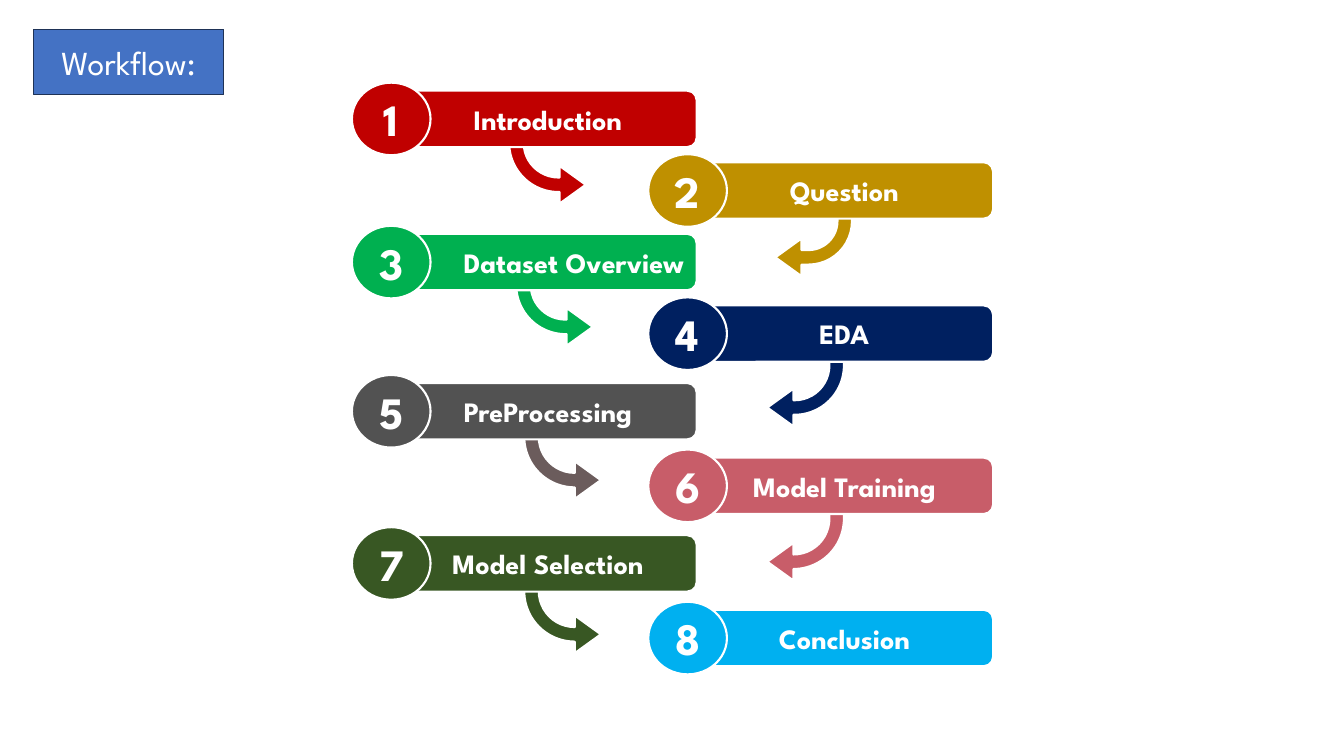
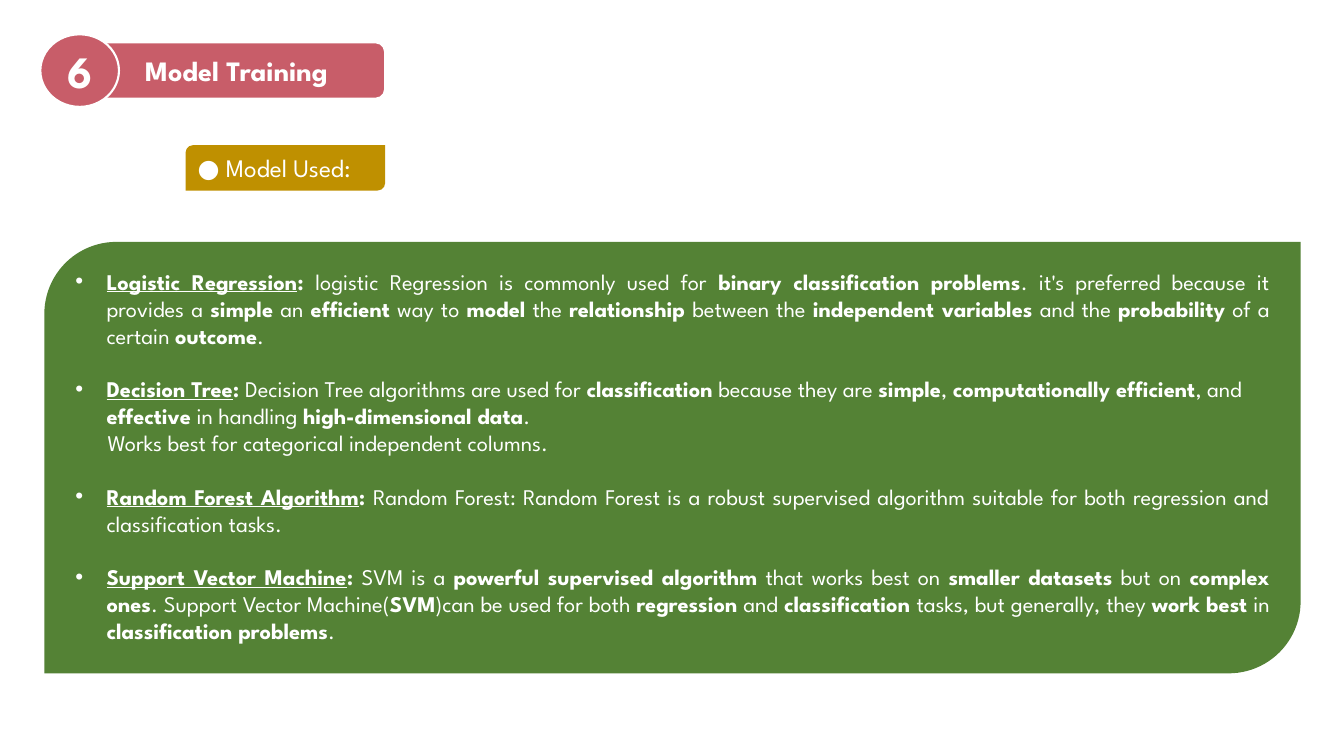
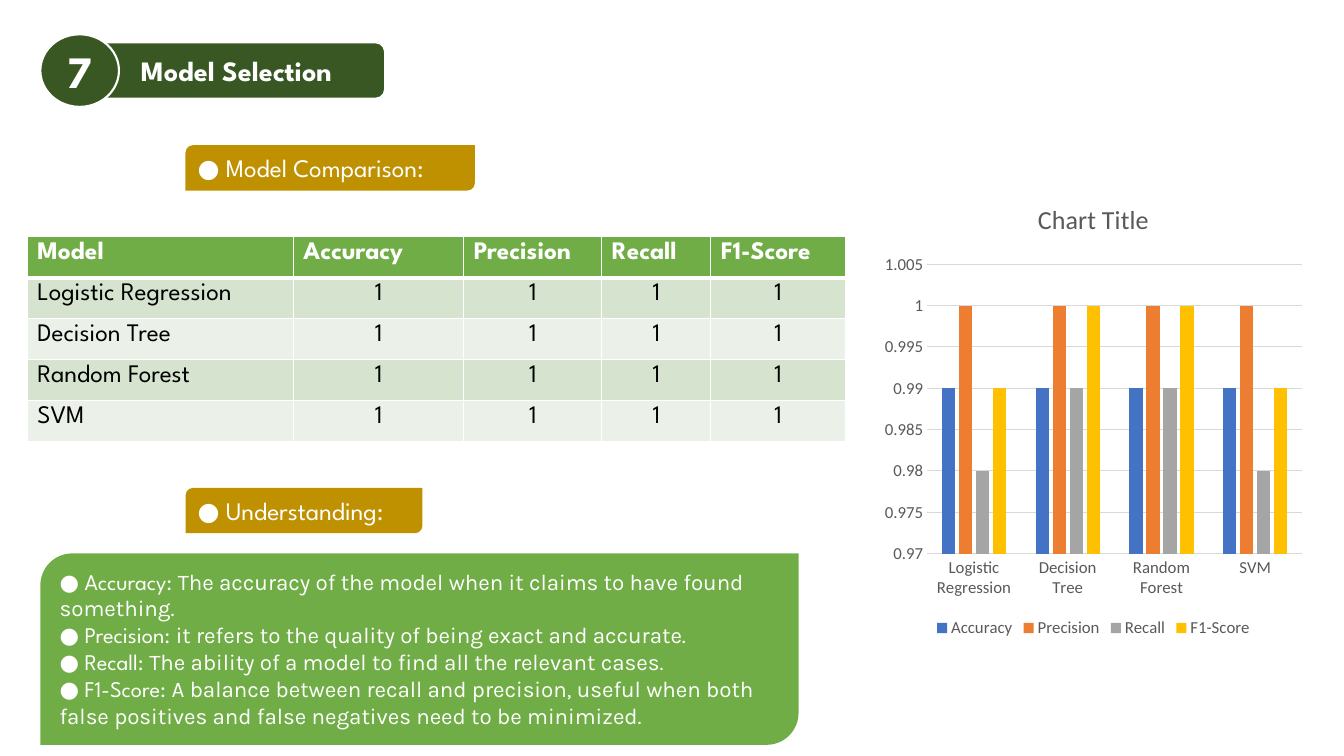
from dataclasses import dataclass
from typing import Any, NamedTuple, Optional

from lxml.etree import SubElement
from pptx import Presentation
from pptx.chart.data import CategoryChartData as Data
from pptx.dml.color import RGBColor as RGB
from pptx.enum.chart import XL_CHART_TYPE as Chart, XL_LEGEND_POSITION as Spot, XL_TICK_MARK as Tick
from pptx.enum.shapes import MSO_SHAPE as Kind
from pptx.enum.text import MSO_ANCHOR as Anchor, PP_ALIGN as Align
from pptx.oxml.ns import qn
from pptx.util import Emu, Pt

SCALE = 9144  # EMU in one px, 100 px to the inch


@dataclass(frozen=True)
class Theme:
    font: str = "League Spartan"
    prose: str = "Karla"
    plain: str = "Calibri"
    white: str = "FFFFFF"
    black: str = "000000"
    blue: str = "4472C4"
    edge: str = "1E3256"
    red: str = "C00000"
    gold: str = "BF9000"
    green: str = "00B050"
    navy: str = "002060"
    gray: str = "525252"
    taupe: str = "6B5C5C"
    rose: str = "C85D69"
    pine: str = "385723"
    sky: str = "00B0F0"
    moss: str = "548235"
    leaf: str = "70AD47"
    bands: tuple[str, str] = ("D5E3CF", "EBF1E9")
    bars: tuple[str, ...] = ("4472C4", "ED7D31", "A5A5A5", "FFC000")
    ink: str = "595959"
    rule: str = "D9D9D9"
    digit: float = 32
    head: float = 24
    name: float = 20
    label: float = 18
    body: float = 16
    title: float = 18.6
    axis: float = 12


T = Theme()


class Box(NamedTuple):
    x: int
    y: int
    w: int
    h: int

    def emu(self) -> list[Emu]:
        return [px(n) for n in self]


class Turn(NamedTuple):
    """A bent arrow leading on to the next step."""
    x: int
    y: int
    bend: float
    fill: str


@dataclass(frozen=True)
class Step:
    name: str
    fill: str
    top: int
    turn: Optional[Turn] = None
    align: Align = Align.CENTER


class Item(NamedTuple):
    """A bulleted model; asterisks in the text switch bold on and off."""
    name: str
    text: str
    align: Align = Align.JUSTIFY
    more: str = ""


STEPS = (
    Step("Introduction", T.red, 90, Turn(505, 130, 0.68, T.red)),
    Step("Question", T.gold, 161, Turn(769, 202, 0.6, T.gold)),
    Step("Dataset Overview", T.green, 232, Turn(512, 271, 0.68, T.green), Align.RIGHT),
    Step("EDA", T.navy, 303, Turn(761, 351, 0.68, T.navy)),
    Step("PreProcessing", T.gray, 380, Turn(520, 423, 0.7, T.taupe)),
    Step("Model Training", T.rose, 454, Turn(761, 504, 0.7, T.rose)),
    Step("Model Selection", T.pine, 531, Turn(520, 576, 0.7, T.pine)),
    Step("Conclusion", T.sky, 605),
)

ITEMS = (
    Item("Logistic Regression",
         "logistic Regression is commonly used for *binary classification problems*. it's preferred "
         "because it provides a *simple* an *efficient* way to *model* the *relationship* between the "
         "*independent variables* and the *probability* of a certain *outcome*."),
    Item("Decision Tree",
         "Decision Tree algorithms are used for *classification* because they are *simple*, "
         "*computationally efficient*, and *effective* in handling *high-dimensional data*.",
         Align.LEFT, "Works best for categorical independent columns."),
    Item("Random Forest Algorithm",
         "Random Forest: Random Forest is a robust supervised algorithm suitable for both regression "
         "and classification tasks."),
    Item("Support Vector Machine",
         "SVM is a *powerful supervised algorithm* that works best on *smaller datasets* but on "
         "*complex ones*. Support Vector Machine(*SVM*)can be used for both *regression* and "
         "*classification *tasks, but generally, they *work best* in *classification problems*."),
)

TERMS = (
    ("Accuracy", "The accuracy of the model when it claims to have found something."),
    ("Precision", "it refers to the quality of being exact and accurate."),
    ("Recall", "The ability of a model to find all the relevant cases."),
    ("F1-Score", "A balance between recall and precision, useful when both false positives and "
                 "false negatives need to be minimized."),
)

MODELS = ("Logistic Regression", "Decision Tree", "Random Forest", "SVM")
SCORES = ((0.99, 0.99, 0.99, 0.99), (1, 1, 1, 1), (0.98, 0.99, 0.99, 0.98), (0.99, 1, 1, 0.99))
COLS = (264, 169, 137, 108, 134)


def px(num: int) -> Emu:
    return Emu(num * SCALE)


def style(font: Any, *, size: float, tint: str = T.white, face: str = T.font,
          bold: bool = False, line: bool = False) -> None:
    font.size, font.name, font.bold = Pt(size), face, bold
    font.color.rgb = RGB.from_string(tint)
    if line:
        font.underline = True


def put(para: Any, text: str, *, align: Optional[Align] = None, **form: Any) -> None:
    """Add a run to the paragraph."""
    run = para.add_run()
    run.text = text
    style(run.font, **form)
    if align is not None:
        para.alignment = align


def paint(fill: Any, tint: str) -> None:
    fill.solid()
    fill.fore_color.rgb = RGB.from_string(tint)


def draw(page: Any, kind: Kind, box: Box, fill: str, edge: str = "", wide: float = 1.5) -> Any:
    item = page.shapes.add_shape(kind, *box.emu())
    item.shadow.inherit = False
    paint(item.fill, fill)
    if edge:
        item.line.color.rgb = RGB.from_string(edge)
        item.line.width = Pt(wide)
    else:
        item.line.fill.background()
    item.text_frame.word_wrap = True
    item.text_frame.vertical_anchor = Anchor.MIDDLE if edge else Anchor.TOP
    return item


def badge(page: Any, num: int, x: int, y: int) -> None:
    """Draw a step's bar with its numbered disc; x and y place the bar."""
    step = STEPS[num - 1]
    bar = draw(page, Kind.ROUNDED_RECTANGLE, Box(x, y, 295, 56), step.fill, T.white)
    put(bar.text_frame.paragraphs[0], step.name, size=T.name, bold=True, align=step.align)
    disc = draw(page, Kind.OVAL, Box(x - 47, y - 8, 78, 72), step.fill, T.white)
    put(disc.text_frame.paragraphs[0], str(num), size=T.digit, bold=True, align=Align.CENTER)


def label(page: Any, text: str, y: int, wide: int) -> None:
    tag = draw(page, Kind.ROUND_2_DIAG_RECTANGLE, Box(184, y, wide, 45), T.gold)
    put(tag.text_frame.paragraphs[0], f"● {text}:", size=T.label, align=Align.LEFT)


def arrow(page: Any, turn: Turn, flip: bool) -> None:
    item = draw(page, Kind.BENT_ARROW, Box(turn.x, turn.y, 76, 72), turn.fill, T.white)
    for spot, value in enumerate((0.2, 0.26, 0.36, turn.bend)):
        item.adjustments[spot] = value
    item.rotation = 180
    if flip:
        item.element.spPr.find(qn("a:xfrm")).set("flipH", "1")


def indent(para: Any, left: int, first: int = 0, mark: str = "") -> None:
    props = para._p.get_or_add_pPr()
    props.set("marL", str(px(left)))
    props.set("indent", str(px(first)))
    if mark:
        SubElement(props, qn("a:buFont")).set("typeface", "Arial")
        SubElement(props, qn("a:buChar")).set("char", mark)


def nth(frame: Any, spot: int) -> Any:
    return frame.add_paragraph() if spot else frame.paragraphs[0]


def flow(page: Any) -> None:
    head = draw(page, Kind.RECTANGLE, Box(33, 29, 189, 65), T.blue, T.edge, 1)
    put(head.text_frame.paragraphs[0], "Workflow:", size=T.head, align=Align.CENTER)
    for spot, step in enumerate(STEPS):
        if step.turn:
            arrow(page, step.turn, flip=spot % 2 == 0)
    for spot, step in enumerate(STEPS):
        badge(page, spot + 1, 690 if spot % 2 else 396, step.top)


def train(page: Any) -> None:
    badge(page, 6, 87, 42)
    label(page, "Model Used", 144, 198)
    frame = draw(page, Kind.ROUND_2_DIAG_RECTANGLE, Box(44, 240, 1246, 428), T.moss).text_frame
    for spot, item in enumerate(ITEMS):
        para = nth(frame, spot)
        para.alignment = item.align
        if spot:
            para.space_before = Pt(19.2)
        indent(para, 31, -31, "•")
        put(para, item.name, size=T.body, bold=True, line=True)
        put(para, ": ", size=T.body, bold=True)
        for turn, part in enumerate(item.text.split("*")):
            put(para, part, size=T.body, bold=turn % 2 == 1)
        if item.more:
            para = frame.add_paragraph()
            indent(para, 32)
            put(para, item.more, size=T.body, align=Align.LEFT)


def border(cell: Any, top: float, foot: float) -> None:
    props = cell._tc.get_or_add_tcPr()
    for side, wide in (("L", 1), ("R", 1), ("T", top), ("B", foot)):
        line = SubElement(props, qn(f"a:ln{side}"), w=str(Pt(wide)))
        fill = SubElement(line, qn("a:solidFill"))
        SubElement(fill, qn("a:srgbClr"), val=T.white)


def table(page: Any) -> None:
    heads = ("Model", *(name for name, _ in TERMS))
    rows = [heads] + [(name, *"1111") for name in MODELS]
    box = Box(27, 235, sum(COLS), 203)
    grid = page.shapes.add_table(len(rows), len(COLS), *box.emu()).table
    for col, wide in zip(grid.columns, COLS):
        col.width = px(wide)
    for r, row in enumerate(rows):
        for c, text in enumerate(row):
            cell = grid.cell(r, c)
            border(cell, 3 if r == 1 else 1, 1 if r else 3)
            paint(cell.fill, T.bands[(r - 1) % 2] if r else T.leaf)
            put(cell.text_frame.paragraphs[0], text, size=T.label, bold=r == 0,
                tint=T.black if r else T.white,
                align=Align.CENTER if r and c else Align.LEFT)


def chart(page: Any) -> None:
    data = Data()
    data.categories = MODELS
    for (name, _), vals in zip(TERMS, SCORES):
        data.add_series(name, vals)
    box = Box(869, 181, 431, 456)
    graph = page.shapes.add_chart(Chart.COLUMN_CLUSTERED, *box.emu(), data).chart
    style(graph.font, size=T.axis, tint=T.ink, face=T.plain)
    graph.has_title = True
    put(graph.chart_title.text_frame.paragraphs[0], "Chart Title",
        size=T.title, tint=T.ink, face=T.plain)
    graph.has_legend = True
    graph.legend.position = Spot.BOTTOM
    graph.legend.include_in_layout = False
    plot = graph.plots[0]
    plot.gap_width, plot.overlap, plot.vary_by_categories = 219, -27, False
    for ser, tint in zip(plot.series, T.bars):
        paint(ser.format.fill, tint)
    cats, vals = graph.category_axis, graph.value_axis
    for axis in (cats, vals):
        axis.major_tick_mark = axis.minor_tick_mark = Tick.NONE
        style(axis.tick_labels.font, size=T.axis, tint=T.ink, face=T.plain)
    vals.minimum_scale, vals.maximum_scale, vals.major_unit = 0.97, 1.005, 0.005
    vals.tick_labels.number_format = "General"
    vals.tick_labels.number_format_is_linked = False
    vals.format.line.fill.background()
    for line in (cats.format.line, vals.major_gridlines.format.line):
        line.color.rgb = RGB.from_string(T.rule)
        line.width = Pt(0.75)


def select(page: Any) -> None:
    badge(page, 7, 87, 42)
    label(page, "Model Comparison", 144, 287)
    table(page)
    label(page, "Understanding", 484, 235)
    frame = draw(page, Kind.ROUND_2_DIAG_RECTANGLE, Box(40, 549, 752, 190), T.leaf).text_frame
    for spot, (name, text) in enumerate(TERMS):
        para = nth(frame, spot)
        put(para, f"● {name}: ", size=T.body, align=Align.LEFT)
        put(para, text, size=T.body, face=T.prose)
    chart(page)


def main() -> None:
    deck = Presentation()
    deck.slide_width, deck.slide_height = px(1333), px(750)
    for build in (flow, train, select):
        build(deck.slides.add_slide(deck.slide_layouts[6]))
    deck.save("out.pptx")


if __name__ == "__main__":
    main()
